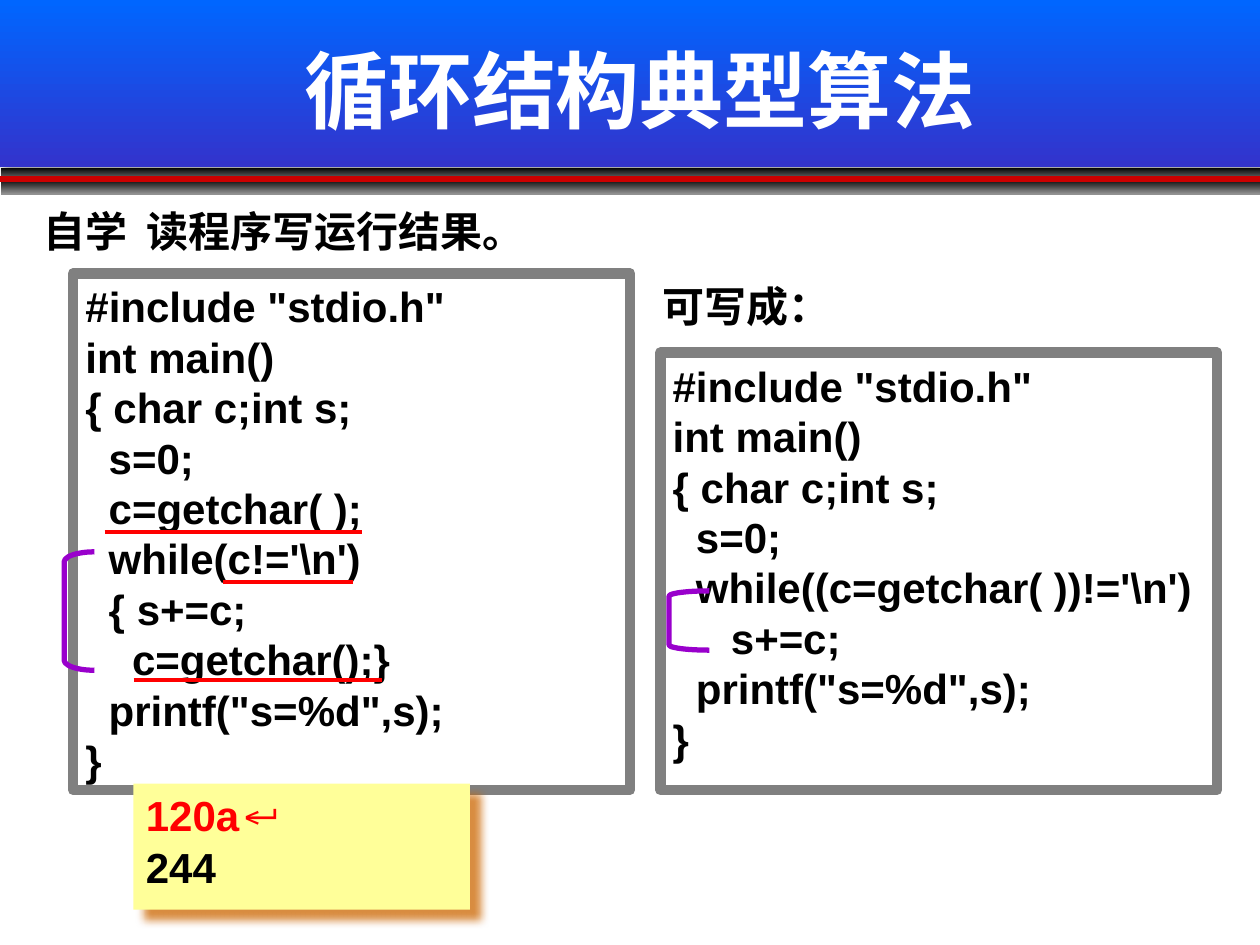
"""Build the slide on classic loop algorithms, with two programs and their output."""
from typing import NamedTuple

from lxml import etree
from pptx import Presentation
from pptx.dml.color import RGBColor
from pptx.enum.shapes import MSO_CONNECTOR, MSO_SHAPE
from pptx.enum.text import MSO_ANCHOR, MSO_AUTO_SIZE, PP_ALIGN
from pptx.oxml.ns import qn
from pptx.util import Inches, Pt

RECTANGLE = MSO_SHAPE.RECTANGLE
LEFT_BRACKET = MSO_SHAPE.LEFT_BRACKET
STRAIGHT = MSO_CONNECTOR.STRAIGHT
TOP, MIDDLE = MSO_ANCHOR.TOP, MSO_ANCHOR.MIDDLE
CENTER = PP_ALIGN.CENTER
FIT_SHAPE, NO_FIT = MSO_AUTO_SIZE.SHAPE_TO_FIT_TEXT, MSO_AUTO_SIZE.NONE

FONT = "Arial"
BLACK, WHITE, RED = "000000", "FFFFFF", "FF0000"
GRAY, PURPLE = "808080", "9900CC"


class Box(NamedTuple):
    left: float
    top: float
    width: float
    height: float


class Shadow(NamedTuple):
    color: str
    distance: float


class Band(NamedTuple):
    box: Box
    start: str
    end: str


class Label(NamedTuple):
    box: Box
    text: str
    color: str = BLACK
    anchor: MSO_ANCHOR = TOP


class Bracket(NamedTuple):
    box: Box
    curve: float


class Rule(NamedTuple):
    left: float
    right: float
    y: float
    color: str = RED
    weight: float = 2.25


class Program(NamedTuple):
    frame: Box
    code: Box
    source: str
    bracket: Bracket
    underlines: tuple[Rule, ...] = ()


BANNER = Band(Box(0, 0, 10, 1.33), "0066FF", "3333CC")
BANNER_SHADOW = Shadow(GRAY, 3)
STRIPES = [Band(Box(0.01, top, 9.99, 0.12), BLACK, "929292") for top in (1.33, 1.42)]
BANNER_RULE = Rule(0, 10, 1.42, "CC0000", 3)
TITLE_BOX = Box(0.83, 0.08, 8.5, 1.25)

PROGRAMS = [
    Program(
        Box(0.58, 2.17, 4.42, 4.1),
        Box(0.58, 2.18, 4.49, 4.14),
        r"""#include "stdio.h"
int main()
{ char c;int s;
  s=0;
  c=getchar( );
  while(c!='\n')
  { s+=c;
    c=getchar();}
  printf("s=%d",s);
}""",
        Bracket(Box(0.51, 4.38, 0.24, 0.94), 0.33),
        (Rule(0.83, 2.87, 4.22), Rule(1.77, 2.8, 4.62), Rule(1.06, 3.03, 5.4)),
    ),
    Program(
        Box(5.24, 2.8, 4.42, 3.47),
        Box(5.24, 2.81, 4.49, 3.33),
        r"""#include "stdio.h"
int main()
{ char c;int s;
  s=0;
  while((c=getchar( ))!='\n')
     s+=c;
  printf("s=%d",s);
}""",
        Bracket(Box(5.31, 4.69, 0.32, 0.47), 0.13),
    ),
]

CAPTIONS = [
    Label(Box(0.25, 1.58, 4.17, 0.5), "自学  读程序写运行结果。", anchor=MIDDLE),
    Label(Box(5.16, 2.18, 4.17, 0.5), "可写成：", anchor=MIDDLE),
]
OUTPUT_CARD = Box(1.06, 6.22, 2.67, 1)
OUTPUT_SHADOW = Shadow("CC6600", 8.5)
OUTPUT_LINES = [
    Label(Box(1.06, 6.22, 2.67, 0.5), "120a↵", RED),
    Label(Box(1.06, 6.63, 2.67, 0.5), "244"),
]


def rgb(color: str) -> RGBColor:
    return RGBColor.from_string(color)


def inches(box: Box) -> list[Inches]:
    return [Inches(length) for length in box]


def write_run(paragraph, text: str, size: float, color: str) -> None:
    run = paragraph.add_run()
    run.text = text
    run.font.name = FONT
    run.font.size = Pt(size)
    run.font.bold = True
    run.font.color.rgb = rgb(color)


def add_plain_shape(slide, kind: MSO_SHAPE, box: Box):
    shape = slide.shapes.add_shape(kind, *inches(box))
    shape.shadow.inherit = False
    shape.fill.background()
    shape.line.fill.background()
    return shape


def cast_shadow(shape, shadow: Shadow) -> None:
    effects = shape.element.spPr.find(qn("a:effectLst"))
    outer = etree.SubElement(
        effects, qn("a:outerShdw"), blurRad=str(Pt(5)),
        dist=str(Pt(shadow.distance)), dir=str(45 * 60000), algn="ctr", rotWithShape="0",
    )
    color = etree.SubElement(outer, qn("a:srgbClr"), val=shadow.color)
    etree.SubElement(color, qn("a:alpha"), val="75000")


def add_band(slide, band: Band):
    shape = add_plain_shape(slide, RECTANGLE, band.box)
    shape.fill.gradient()
    shape.fill.gradient_angle = 270
    for stop, position, color in zip(shape.fill.gradient_stops, (0, 1), (band.start, band.end)):
        stop.position = position
        stop.color.rgb = rgb(color)
    return shape


def add_rule(slide, rule: Rule) -> None:
    line = slide.shapes.add_connector(
        STRAIGHT, *inches(Box(rule.left, rule.y, rule.right, rule.y)))
    line.line.color.rgb = rgb(rule.color)
    line.line.width = Pt(rule.weight)
    etree.SubElement(line.element.spPr, qn("a:effectLst"))


def add_outline(slide, kind: MSO_SHAPE, box: Box, color: str, weight: float):
    shape = add_plain_shape(slide, kind, box)
    shape.line.color.rgb = rgb(color)
    shape.line.width = Pt(weight)
    return shape


def add_label(slide, label: Label) -> None:
    frame = slide.shapes.add_textbox(*inches(label.box)).text_frame
    frame.word_wrap = True
    frame.auto_size = FIT_SHAPE
    frame.vertical_anchor = label.anchor
    for index, line in enumerate(label.text.split("\n")):
        paragraph = frame.add_paragraph() if index else frame.paragraphs[0]
        write_run(paragraph, line, 24, label.color)


def add_program(slide, program: Program) -> None:
    add_outline(slide, RECTANGLE, program.frame, GRAY, 6)
    add_label(slide, Label(program.code, program.source))
    bracket = add_outline(slide, LEFT_BRACKET, program.bracket.box, PURPLE, 3)
    bracket.adjustments[0] = program.bracket.curve
    for underline in program.underlines:
        add_rule(slide, underline)


def place_title(slide, text: str) -> None:
    title = slide.shapes.title
    title.left, title.top, title.width, title.height = inches(TITLE_BOX)
    title.element.getparent().append(title.element)
    frame = title.text_frame
    frame.word_wrap = True
    frame.auto_size = NO_FIT
    frame.vertical_anchor = MIDDLE
    frame.paragraphs[0].alignment = CENTER
    write_run(frame.paragraphs[0], text, 48, WHITE)


def main() -> None:
    deck = Presentation()
    deck.slide_width, deck.slide_height = Inches(10), Inches(7.5)
    slide = deck.slides.add_slide(deck.slide_layouts.get_by_name("Title Only"))
    cast_shadow(add_band(slide, BANNER), BANNER_SHADOW)
    for stripe in STRIPES:
        add_band(slide, stripe)
    add_rule(slide, BANNER_RULE)
    place_title(slide, "循环结构典型算法")
    for program in PROGRAMS:
        add_program(slide, program)
    card = add_plain_shape(slide, RECTANGLE, OUTPUT_CARD)
    card.fill.solid()
    card.fill.fore_color.rgb = rgb("FFFF99")
    cast_shadow(card, OUTPUT_SHADOW)
    for label in OUTPUT_LINES + CAPTIONS:
        add_label(slide, label)
    deck.save("out.pptx")


if __name__ == "__main__":
    main()
